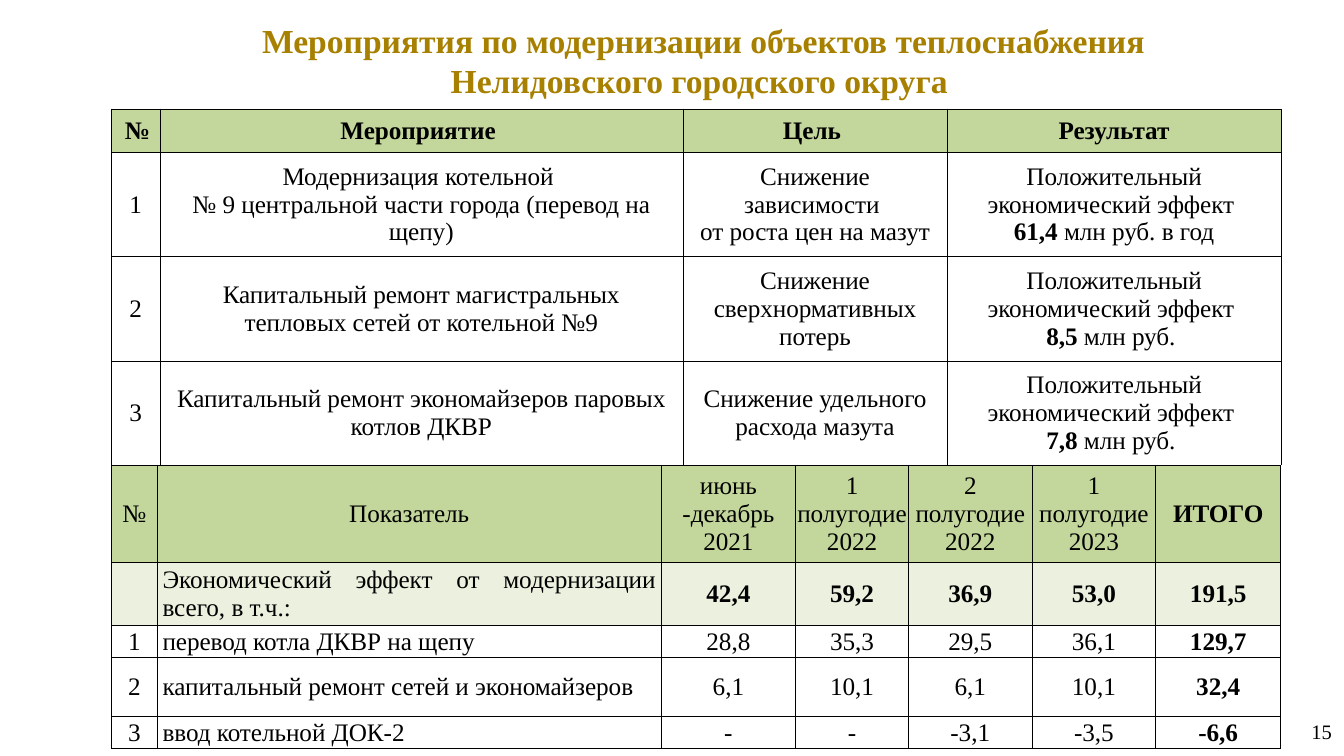
from dataclasses import dataclass

from lxml import etree
from pptx import Presentation
from pptx.dml.color import RGBColor
from pptx.enum.text import MSO_ANCHOR, PP_ALIGN
from pptx.oxml.ns import qn
from pptx.util import Inches, Pt

MIDDLE = MSO_ANCHOR.MIDDLE
LEFT, CENTER, JUSTIFY = PP_ALIGN.LEFT, PP_ALIGN.CENTER, PP_ALIGN.JUSTIFY


@dataclass(frozen=True)
class Theme:
    font: str = "Times New Roman"
    title_size: float = 18
    table_size: float = 13.5
    number_size: float = 11
    border_width: float = 0.25
    title: str = "A88000"
    text: str = "000000"
    header: str = "C3D69B"
    total: str = "EBF1DE"
    body: str = "FFFFFF"


THEME = Theme()
SLIDE_WIDTH = Inches(10)
SLIDE_HEIGHT = SLIDE_WIDTH * 9 // 16
TABLE_LEFT = 0.83
DEFAULT_INSETS = (0.1, 0.05, 0.1, 0.05)
TIGHT_INSETS = (0.01, 0.01, 0.01, 0)
LABEL_INSETS = (0.04, 0.01, 0.04, 0)

MEASURE_COLUMNS = [0.36, 3.89, 1.97, 2.48]
MEASURE_ROWS = [0.32, 0.77, 0.77, 0.77]
MEASURE_HEADER = ["№", "Мероприятие ", "Цель ", "Результат"]
# Measure, goal, effect amount, unit of the effect
MEASURES = [
    ("Модернизация котельной \n№ 9 центральной части города (перевод на щепу)",
     "Снижение зависимости \nот роста цен на мазут", "61,4 ", "млн руб. в год"),
    ("Капитальный ремонт магистральных тепловых сетей от котельной №9",
     "Снижение сверхнормативных потерь", "8,5 ", "млн руб. "),
    ("Капитальный ремонт экономайзеров паровых котлов ДКВР",
     "Снижение удельного расхода мазута", "7,8 ", "млн руб. "),
]

EFFECT_COLUMNS = [0.34, 3.75, 1, 0.84, 0.92, 0.92, 0.93]
EFFECT_ROWS = [0.72, 0.47, 0.24, 0.44, 0.24]
EFFECTS = [
    ["№", "Показатель", "июнь -декабрь 2021", "1 полугодие 2022",
     "2 полугодие 2022", "1 полугодие 2023", "ИТОГО"],
    ["", "Экономический эффект от модернизации всего, в т.ч.:",
     "42,4", "59,2", "36,9", "53,0", "191,5"],
    ["1", "перевод котла ДКВР на щепу", "28,8", "35,3", "29,5", "36,1", "129,7"],
    ["2", "капитальный ремонт сетей и экономайзеров",
     "6,1", "10,1", "6,1", "10,1", "32,4"],
    ["3", "ввод котельной ДОК-2", "-", "-", "-3,1", "-3,5", "-6,6"],
]


def style_paragraph(paragraph, size, color, bold=False, align=CENTER):
    paragraph.alignment = align
    font = paragraph.font
    font.name, font.size, font.bold = THEME.font, Pt(size), bold
    font.color.rgb = RGBColor.from_string(color)


def add_label(slide, text, box, size, color, bold=False, align=LEFT, wrap=True):
    frame = slide.shapes.add_textbox(*map(Inches, box)).text_frame
    frame.word_wrap = wrap
    if wrap:
        frame.vertical_anchor = MIDDLE
    frame.text = text
    style_paragraph(frame.paragraphs[0], size, color, bold, align)


def add_grid(slide, top, columns, rows):
    box = (TABLE_LEFT, top, sum(columns), sum(rows))
    table = slide.shapes.add_table(
        len(rows), len(columns), *map(Inches, box)).table
    table.first_row = table.horz_banding = False
    for column, width in zip(table.columns, columns):
        column.width = Inches(width)
    for row, height in zip(table.rows, rows):
        row.height = Inches(height)
    return table


def add_borders(cell):
    properties = cell._tc.get_or_add_tcPr()
    for position, side in enumerate(("a:lnL", "a:lnR", "a:lnT", "a:lnB")):
        line = etree.Element(qn(side), w=str(Pt(THEME.border_width)))
        fill = etree.SubElement(line, qn("a:solidFill"))
        etree.SubElement(fill, qn("a:srgbClr"), val=THEME.text)
        properties.insert(position, line)


def fill_cell(cell, text, fill, bold=False, align=CENTER, insets=DEFAULT_INSETS):
    cell.text = text
    cell.vertical_anchor = MIDDLE
    (cell.margin_left, cell.margin_top,
     cell.margin_right, cell.margin_bottom) = map(Inches, insets)
    cell.fill.solid()
    cell.fill.fore_color.rgb = RGBColor.from_string(fill)
    for paragraph in cell.text_frame.paragraphs:
        style_paragraph(paragraph, THEME.table_size, THEME.text, bold, align)
    add_borders(cell)


def fill_result(cell, amount, unit):
    fill_cell(cell, "Положительный экономический эффект ", THEME.body)
    paragraph = cell.text_frame.paragraphs[0]
    paragraph.add_line_break()
    amount_run = paragraph.add_run()
    amount_run.text = amount
    amount_run.font.bold = True
    paragraph.add_run().text = unit


def add_measures(slide, top):
    table = add_grid(slide, top, MEASURE_COLUMNS, MEASURE_ROWS)
    for column, heading in enumerate(MEASURE_HEADER):
        fill_cell(table.cell(0, column), heading, THEME.header, bold=True)
    for row, (measure, goal, amount, unit) in enumerate(MEASURES, 1):
        for column, text in enumerate((str(row), measure, goal)):
            fill_cell(table.cell(row, column), text, THEME.body)
        fill_result(table.cell(row, 3), amount, unit)


def add_effects(slide, top):
    table = add_grid(slide, top, EFFECT_COLUMNS, EFFECT_ROWS)
    fills = [THEME.header, THEME.total] + [THEME.body] * 3
    last = len(EFFECT_COLUMNS) - 1
    for row, (texts, fill) in enumerate(zip(EFFECTS, fills)):
        for column, text in enumerate(texts):
            is_label = row > 0 and column < 2
            fill_cell(
                table.cell(row, column), text, fill,
                bold=column == last or (row == 1 and column > 1),
                align=JUSTIFY if is_label and column == 1 else CENTER,
                insets=LABEL_INSETS if is_label else TIGHT_INSETS)


def main():
    presentation = Presentation()
    presentation.slide_width = SLIDE_WIDTH
    presentation.slide_height = SLIDE_HEIGHT
    slide = presentation.slides.add_slide(presentation.slide_layouts[6])

    # Title and page number
    add_label(slide, "Мероприятия по модернизации объектов теплоснабжения "
              "Нелидовского городского округа ", (1.22, 0.08, 8.03, 0.73),
              THEME.title_size, THEME.title, bold=True, align=CENTER)
    add_label(slide, "15", (9.66, 5.3, 0.36, 0.29),
              THEME.number_size, THEME.text, wrap=False)

    # Modernisation measures, then their economic effect by period
    add_measures(slide, 0.81)
    add_effects(slide, 3.46)

    presentation.save("out.pptx")


if __name__ == "__main__":
    main()
